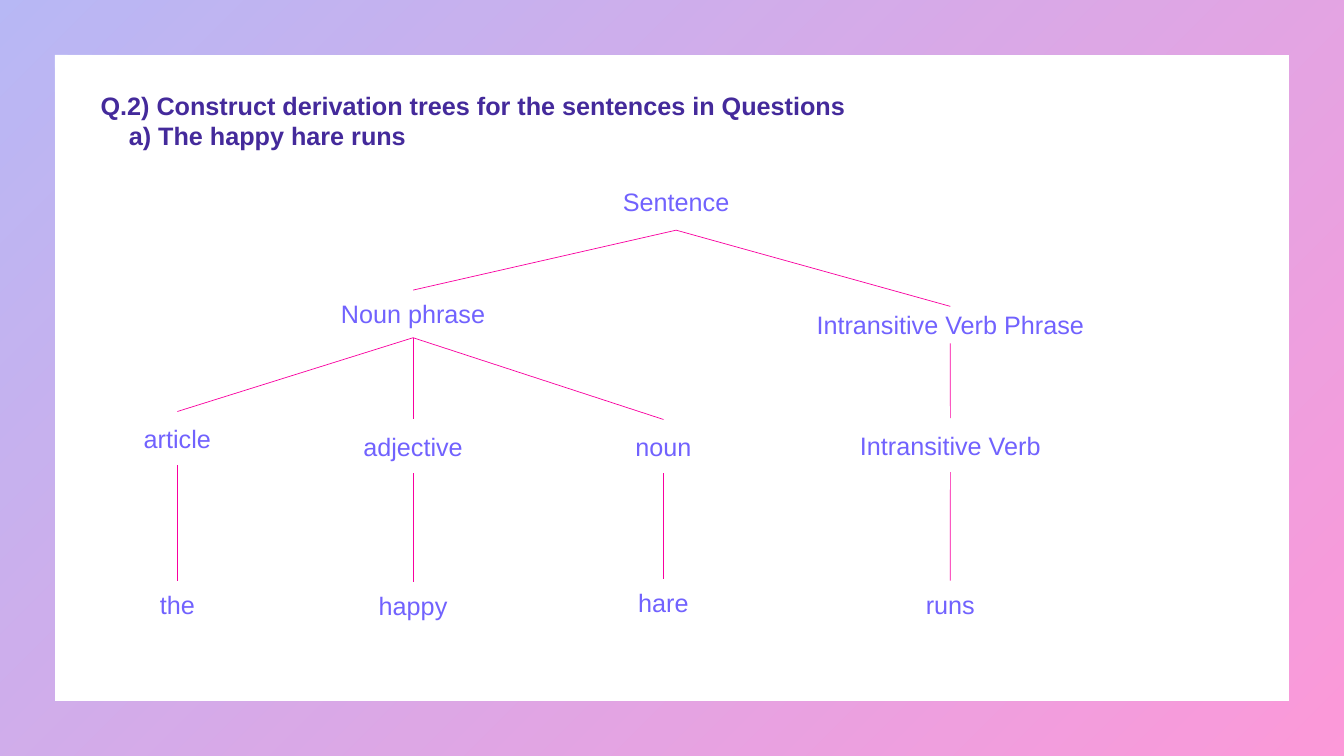
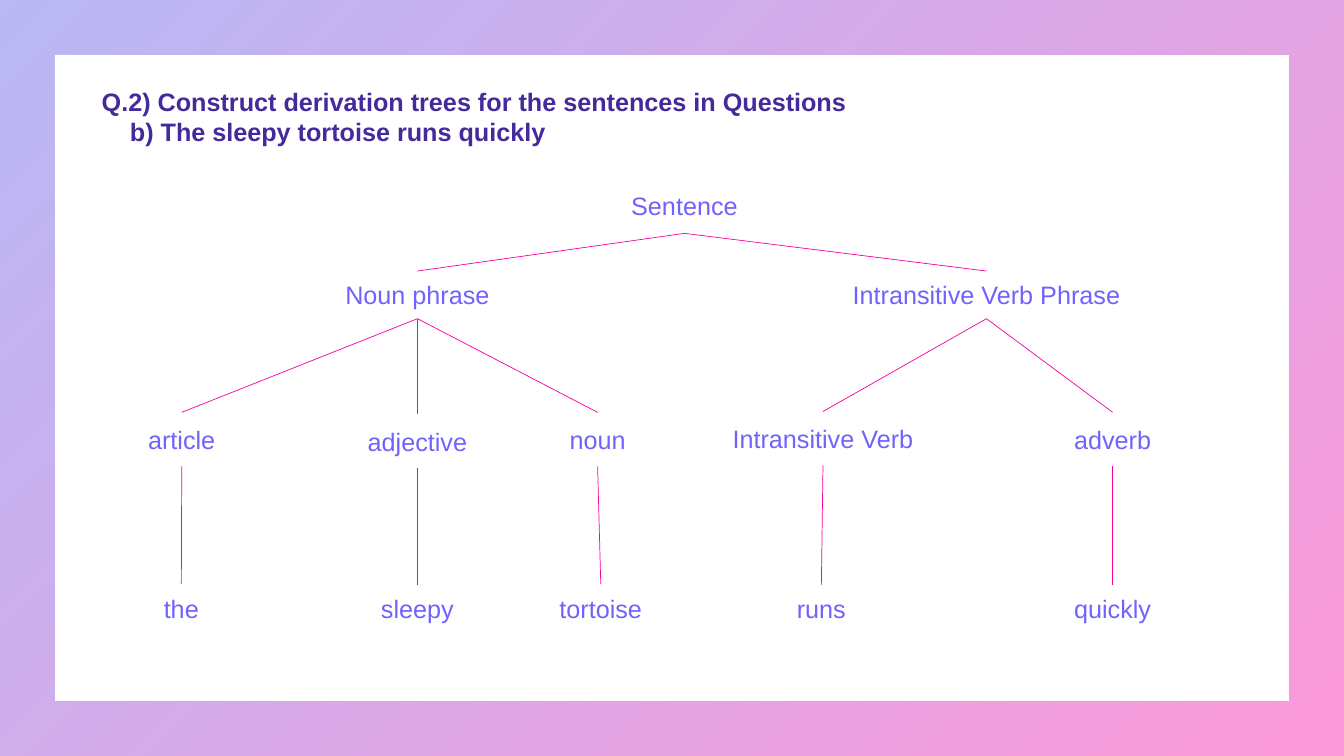
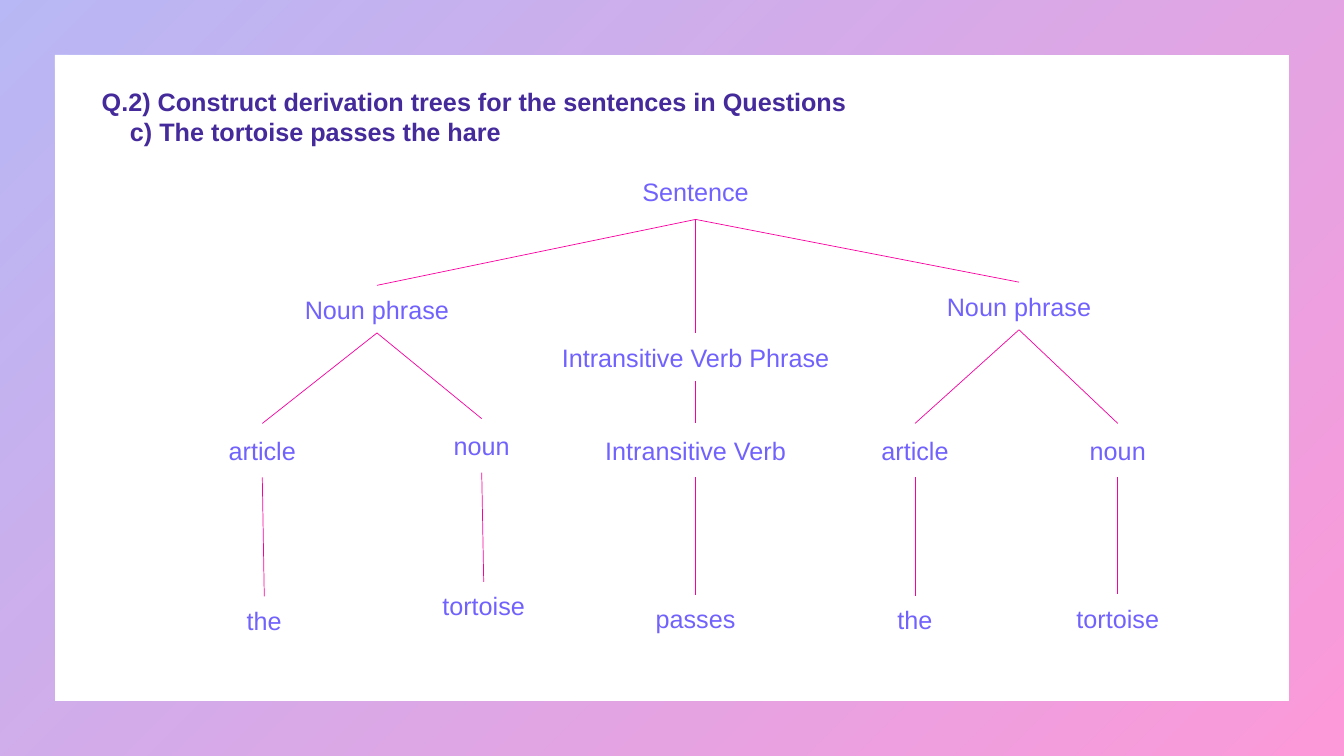
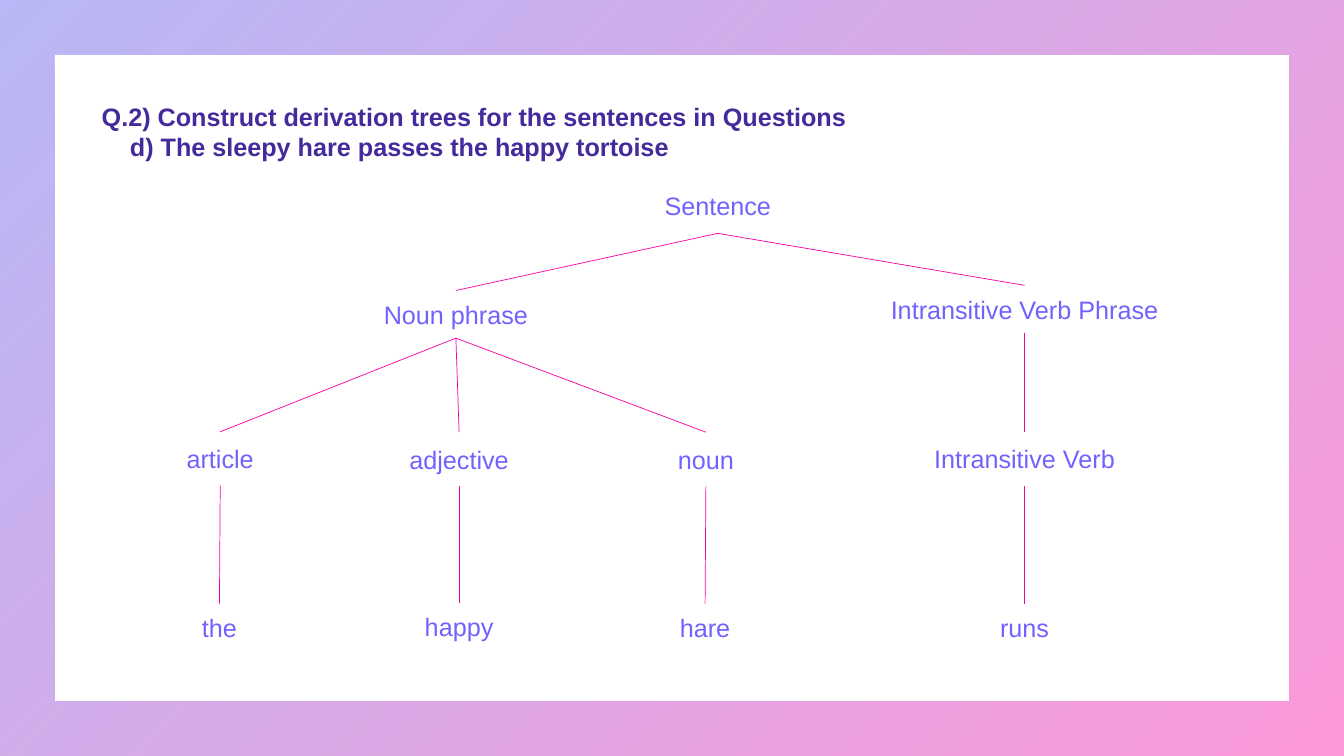
from pptx import Presentation
from pptx.dml.color import RGBColor
from pptx.enum.dml import MSO_LINE
from pptx.enum.shapes import MSO_CONNECTOR, MSO_SHAPE
from pptx.enum.text import MSO_ANCHOR, PP_ALIGN
from pptx.oxml import parse_xml
from pptx.oxml.ns import nsdecls
from pptx.util import Cm, Pt

FRAME, ROUND = MSO_SHAPE.FRAME, MSO_SHAPE.ROUNDED_RECTANGLE
STRAIGHT, LONG_DASH = MSO_CONNECTOR.STRAIGHT, MSO_LINE.LONG_DASH
CENTER, JUSTIFY = PP_ALIGN.CENTER, PP_ALIGN.JUSTIFY
MIDDLE = MSO_ANCHOR.MIDDLE
TOP, BOTTOM = 0, 2  # connection sites

COLORS = {"title": "442A9B", "node": "7162FE", "branch": "F900A0",
          "frame_from": "4D4EE6", "frame_to": "F900A0", "white": "FFFFFF"}
FONT = "Arial"

# Content: lengths in cm; a node is (text, centre x, top, children[, (width, height)])
QUESTION = "Q.2) Construct derivation trees for the sentences in Questions"
NP, IVP, IV = "Noun phrase", "Intransitive Verb Phrase", "Intransitive Verb"

SLIDES = [
    {"part": "a) The happy hare runs", "title_height": 2.62, "title_inset": 0.13,
     "tree": ("Sentence", 17.04, 4.37, [
         (NP, 10.41, 7.31, [
             ("article", 4.47, 10.37, [("the", 4.47, 14.63, [])]),
             ("adjective", 10.41, 10.57, [("happy", 10.41, 14.66, [])], (4.09, 1.36)),
             ("noun", 16.72, 10.57, [("hare", 16.72, 14.58, [])])]),
         (IVP, 23.95, 7.72, [
             (IV, 23.95, 10.54, [("runs", 23.95, 14.63, [])])], (7.42, 0.93))])},
    {"part": "b) The sleepy tortoise runs quickly", "title_height": 3.18, "title_inset": 0.89,
     "tree": ("Sentence", 17.25, 4.45, [
         (NP, 10.52, 6.83, [
             ("article", 4.58, 10.39, [("the", 4.57, 14.72, [])]),
             ("adjective", 10.52, 10.44, [("sleepy", 10.52, 14.74, [])]),
             ("noun", 15.06, 10.39, [("tortoise", 15.14, 14.72, [])])]),
         (IVP, 24.86, 6.83, [
             (IV, 20.74, 10.37, [("runs", 20.7, 14.74, [])]),
             ("adverb", 28.04, 10.39, [("quickly", 28.04, 14.74, [])])])])},
    {"part": "c) The tortoise passes the hare", "title_height": 3.18, "title_inset": 0.89,
     "tree": ("Sentence", 17.53, 4.1, [
         (NP, 9.5, 7.19, [
             ("article", 6.61, 10.67, [("the", 6.66, 15.03, [])]),
             ("noun", 12.14, 10.55, [("tortoise", 12.19, 14.66, [])])]),
         (IVP, 17.53, 8.4, [
             (IV, 17.53, 10.67, [("passes", 17.53, 14.99, [])])]),
         (NP, 25.68, 7.11, [
             ("article", 23.06, 10.67, [("the", 23.06, 15.01, [])]),
             ("noun", 28.17, 10.67, [("tortoise", 28.17, 14.98, [])])])])},
    {"part": "d) The sleepy hare passes the happy tortoise", "title_height": 3.18,
     "title_inset": 0.13,
     "tree": ("Sentence", 18.09, 4.45, [
         (NP, 11.49, 7.32, [
             ("article", 5.55, 10.88, [("the", 5.53, 15.21, [])]),
             ("adjective", 11.57, 10.89, [("happy", 11.57, 15.19, [])]),
             ("noun", 17.79, 10.89, [("hare", 17.77, 15.21, [])])]),
         (IVP, 25.82, 7.19, [
             (IV, 25.82, 10.88, [("runs", 25.82, 15.21, [])])])])},
]

# Usual node sizes: width by label, height by depth in the tree
WIDTHS = {"Sentence": 6.91, NP: 5.33, IVP: 7.72, IV: 5.44,
          "adjective": 3.5, "adverb": 5.44, "tortoise": 3.0}
WORD_WIDTH = 2.77
HEIGHTS = [1.43, 1.2, 1.36, 1.2]


def rgb(name):
    return RGBColor.from_string(COLORS[name])


def add_box(s, left, top, width, height):
    sp = s.shapes.add_shape(ROUND, Cm(left), Cm(top), Cm(width), Cm(height))
    sp.shadow.inherit = False
    sp.fill.background()
    sp.line.fill.background()
    sp.text_frame.word_wrap = True
    sp.text_frame.vertical_anchor = MIDDLE
    return sp


def write(p, text, color="node", bold=False, align=CENTER, indent=0):
    p.alignment = align
    if indent:
        p._p.get_or_add_pPr().set("marL", str(Cm(indent)))
    r = p.add_run()
    r.text = text
    r.font.name, r.font.size, r.font.bold = FONT, Pt(18), bold
    r.font.color.rgb = rgb(color)


def add_master_frame(prs, s):
    """Draw the gradient frame and move it to the back of the slide master."""
    sp = s.shapes.add_shape(FRAME, 0, 0, prs.slide_width, prs.slide_height)
    sp.adjustments[0] = 0.072
    sp.shadow.inherit = False
    sp.line.fill.background()
    sp.fill.gradient()
    sp.fill.gradient_angle = 315
    for stop, name in zip(sp.fill.gradient_stops, ("frame_from", "frame_to")):
        stop.color.rgb = rgb(name)
    for color in sp.element.xpath(".//a:gs/a:srgbClr"):
        color.append(parse_xml(f'<a:alpha {nsdecls("a")} val="40000"/>'))
    sp.element.xpath(".//p:cNvPr")[0].set("id", "100")
    prs.slide_master.shapes.element.insert(2, sp.element)


def add_title(s, part, height, inset):
    sp = add_box(s, 2.16, 1.73, 29.13, height)
    sp.line.color.rgb = rgb("white")
    sp.line.width = Pt(1.5)
    sp.line.dash_style = LONG_DASH
    tf = sp.text_frame
    tf.margin_bottom = Cm(inset)
    style = {"color": "title", "bold": True, "align": JUSTIFY}
    write(tf.paragraphs[0], QUESTION, **style)
    write(tf.add_paragraph(), part, indent=0.71, **style)


def add_branch(s, parent, child):
    line = s.shapes.add_connector(STRAIGHT, 0, 0, 0, 0)
    line.begin_connect(parent, BOTTOM)
    line.end_connect(child, TOP)
    line.line.color.rgb = rgb("branch")
    line.line.width = Pt(0.5)
    line.element.spPr.append(parse_xml(f'<a:effectLst {nsdecls("a")}/>'))


def add_tree(s, node, depth=0):
    text, center, top, children, *size = node
    width, height = size[0] if size else (WIDTHS.get(text, WORD_WIDTH), HEIGHTS[depth])
    sp = add_box(s, center - width / 2, top, width, height)
    write(sp.text_frame.paragraphs[0], text)
    for child in children:
        add_branch(s, sp, add_tree(s, child, depth + 1))
    return sp


def main():
    prs = Presentation()
    prs.slide_width, prs.slide_height = Cm(33.87), Cm(19.05)
    for i, content in enumerate(SLIDES):
        s = prs.slides.add_slide(prs.slide_layouts[6])
        if i == 0:
            add_master_frame(prs, s)
        add_title(s, content["part"], content["title_height"], content["title_inset"])
        add_tree(s, content["tree"])
    prs.save("out.pptx")


if __name__ == "__main__":
    main()
